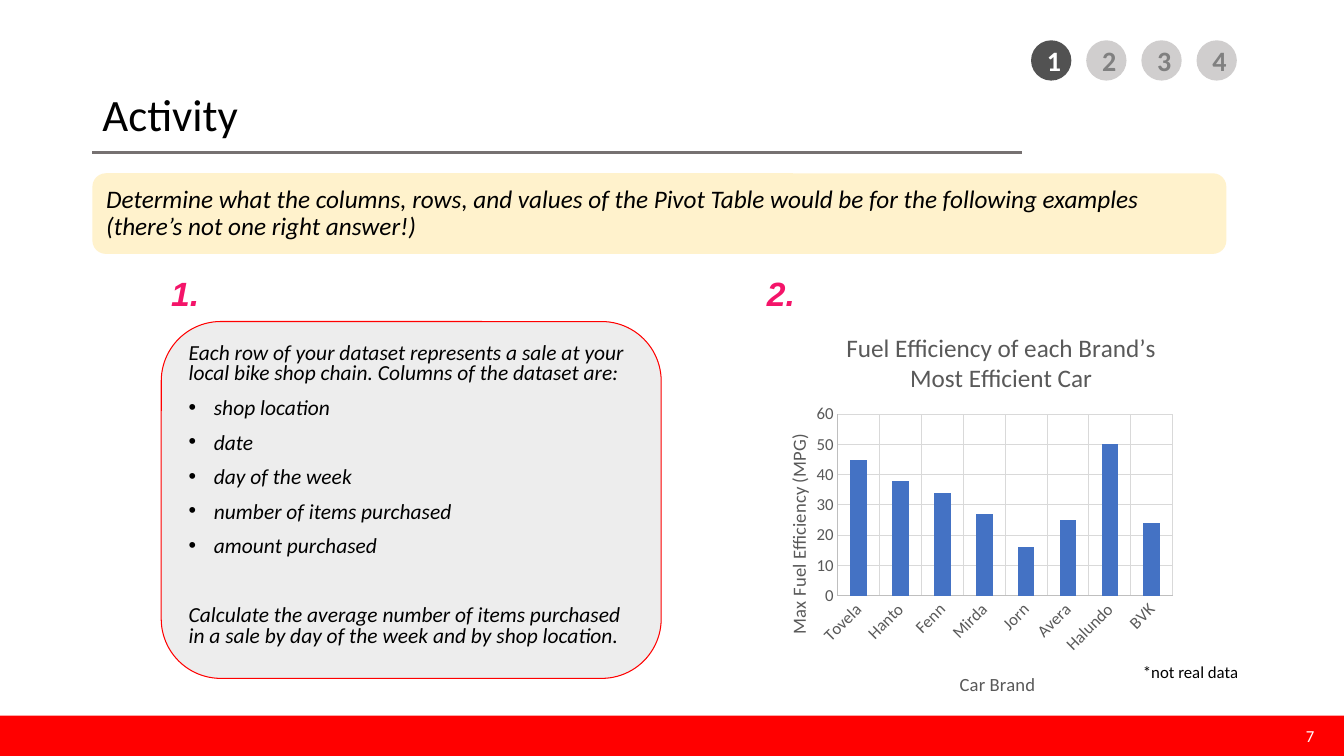
from dataclasses import dataclass

from lxml.etree import SubElement
from pptx import Presentation
from pptx.chart.data import CategoryChartData
from pptx.dml.color import RGBColor
from pptx.enum.chart import XL_CHART_TYPE, XL_TICK_MARK
from pptx.enum.shapes import MSO_CONNECTOR, MSO_SHAPE
from pptx.enum.text import MSO_ANCHOR, MSO_AUTO_SIZE, PP_ALIGN
from pptx.oxml.ns import qn
from pptx.util import Pt

BLACK = RGBColor(0x00, 0x00, 0x00)
WHITE = RGBColor(0xFF, 0xFF, 0xFF)
RED = RGBColor(0xFF, 0x00, 0x00)
PINK = RGBColor(0xF4, 0x14, 0x69)
CREAM = RGBColor(0xFF, 0xF2, 0xCC)
PALE_GRAY = RGBColor(0xED, 0xED, 0xED)
STEP_GRAY = RGBColor(0xD0, 0xCE, 0xCE)
STEP_DARK = RGBColor(0x52, 0x52, 0x52)
STEP_TEXT = RGBColor(0x80, 0x80, 0x80)
RULE_GRAY = RGBColor(0x76, 0x71, 0x71)
CHART_TEXT = RGBColor(0x59, 0x59, 0x59)
AXIS_GRAY = RGBColor(0xBF, 0xBF, 0xBF)
GRID_GRAY = RGBColor(0xD9, 0xD9, 0xD9)
BAR_BLUE = RGBColor(0x44, 0x72, 0xC4)


@dataclass
class Box:
    left: float
    top: float
    width: float
    height: float

    def lengths(self) -> tuple:
        return Pt(self.left), Pt(self.top), Pt(self.width), Pt(self.height)


@dataclass
class Style:
    size: float
    color: RGBColor = BLACK
    font: str = "Calibri"
    bold: bool = False
    italic: bool = False


@dataclass
class Label:
    text: str
    box: Box
    style: Style
    align: PP_ALIGN = PP_ALIGN.LEFT


@dataclass
class ListItem:
    text: str
    bullet: bool = False
    space_before: float = 10


NUMBER_STYLE = Style(24, PINK, "Arial", bold=True, italic=True)
LABELS = [
    Label("7", Box(730, 511.2, 216, 28.8), Style(12, WHITE), PP_ALIGN.RIGHT),
    Label("1.", Box(115.2, 191.5, 53.3, 36), NUMBER_STYLE),
    Label("2.", Box(540.7, 191.5, 53.3, 36), NUMBER_STYLE),
    Label("*not real data", Box(809.3, 469.4, 127.4, 21.6), Style(12)),
]
DATASET_ITEMS = [
    ListItem("Each row of your dataset represents a sale at your local bike shop chain. "
             "Columns of the dataset are:"),
    ListItem("shop location", bullet=True),
    ListItem("date", bullet=True),
    ListItem("day of the week", bullet=True),
    ListItem("number of items purchased", bullet=True),
    ListItem("amount purchased", bullet=True),
    ListItem("Calculate the average number of items purchased in a sale by day of the "
             "week and by shop location.", space_before=34.7),
]
FUEL_EFFICIENCY = {"Tovela": 45, "Hanto": 38, "Fenn": 34, "Mirda": 27,
                   "Jorn": 16, "Avera": 25, "Halundo": 50, "BVK": 24}


def apply_font(font, style: Style) -> None:
    font.name, font.size = style.font, Pt(style.size)
    font.bold, font.italic = style.bold, style.italic
    font.color.rgb = style.color


def add_run(paragraph, text: str, style: Style, align: PP_ALIGN = PP_ALIGN.LEFT) -> None:
    paragraph.alignment = align
    run = paragraph.add_run()
    run.text = text
    apply_font(run.font, style)


def add_filled_shape(slide, kind: MSO_SHAPE, box: Box, fill: RGBColor):
    shape = slide.shapes.add_shape(kind, *box.lengths())
    shape.shadow.inherit = False
    shape.fill.solid()
    shape.fill.fore_color.rgb = fill
    shape.line.fill.background()
    shape.text_frame.vertical_anchor = MSO_ANCHOR.MIDDLE
    return shape


def place(shape, box: Box) -> None:
    shape.left, shape.top, shape.width, shape.height = box.lengths()


def add_label(slide, label: Label) -> None:
    frame = slide.shapes.add_textbox(*label.box.lengths()).text_frame
    frame.word_wrap = True
    if label.align == PP_ALIGN.RIGHT:
        frame.vertical_anchor = MSO_ANCHOR.MIDDLE
    add_run(frame.paragraphs[0], label.text, label.style, label.align)


def fill_dataset_list(body) -> None:
    place(body, Box(115.2, 229.7, 357.1, 254.9))
    geometry = SubElement(body._element.spPr, qn("a:prstGeom"), prst="roundRect")
    SubElement(geometry, qn("a:avLst"))
    body.fill.solid()
    body.fill.fore_color.rgb = PALE_GRAY
    body.line.color.rgb = RED
    body.line.width = Pt(0.75)
    frame = body.text_frame
    frame.auto_size = MSO_AUTO_SIZE.NONE
    frame.vertical_anchor = MSO_ANCHOR.TOP
    for index, item in enumerate(DATASET_ITEMS):
        paragraph = frame.add_paragraph() if index else frame.paragraphs[0]
        paragraph.line_spacing = 0.8
        paragraph.space_before = Pt(item.space_before)
        properties = paragraph._p.get_or_add_pPr()
        indent = Pt(18) if item.bullet else 0
        properties.set("marL", str(indent))
        properties.set("indent", str(-indent))
        if item.bullet:
            SubElement(properties, qn("a:buFont"), typeface="Arial")
            SubElement(properties, qn("a:buChar"), char="•")
        else:
            SubElement(properties, qn("a:buNone"))
        add_run(paragraph, item.text, Style(15.3, italic=True))


def set_layout(parent, **fractions: float) -> None:
    """Fix the place of a chart part, in fractions of the chart frame."""
    layout = parent.find(qn("c:layout"))
    if layout is None:
        layout = parent.makeelement(qn("c:layout"))
        parent.insert(1 if parent.tag == qn("c:title") else 0, layout)
    manual = SubElement(layout, qn("c:manualLayout"))
    if "w" in fractions:
        SubElement(manual, qn("c:layoutTarget"), val="inner")
    for mode in ("xMode", "yMode"):
        SubElement(manual, qn(f"c:{mode}"), val="edge")
    for name, value in fractions.items():
        SubElement(manual, qn(f"c:{name}"), val=str(value))


def set_chart_title(title, text: str, size: float, x: float, y: float) -> None:
    add_run(title.text_frame.paragraphs[0], text, Style(size, CHART_TEXT), PP_ALIGN.CENTER)
    set_layout(title._element, x=x, y=y)


def format_axis(axis) -> None:
    axis.major_tick_mark = axis.minor_tick_mark = XL_TICK_MARK.NONE
    apply_font(axis.tick_labels.font, Style(12, CHART_TEXT))
    axis.has_major_gridlines = True
    for line, color in ((axis.format.line, AXIS_GRAY),
                        (axis.major_gridlines.format.line, GRID_GRAY)):
        line.color.rgb = color
        line.width = Pt(0.75)


def add_fuel_chart(slide) -> None:
    data = CategoryChartData()
    data.categories = list(FUEL_EFFICIENCY)
    data.add_series("Series 1", list(FUEL_EFFICIENCY.values()))
    box = Box(540.7, 221, 303.1, 288)
    chart = slide.shapes.add_chart(XL_CHART_TYPE.COLUMN_CLUSTERED, *box.lengths(), data).chart
    apply_font(chart.font, Style(10))
    chart.has_legend = False
    set_chart_title(chart.chart_title, "Fuel Efficiency of each Brand’s Most Efficient Car",
                    18, 0.2, 0.04)
    brands, mileage = chart.category_axis, chart.value_axis
    for axis in (brands, mileage):
        format_axis(axis)
    mileage.minimum_scale, mileage.maximum_scale, mileage.major_unit = 0, 60, 10
    set_chart_title(brands.axis_title, "Car Brand", 13.3, 0.47, 0.89)
    set_chart_title(mileage.axis_title, "Max Fuel Efficiency (MPG)", 13.3, 0.06, 0.3)
    mileage.axis_title._element.find(".//" + qn("a:bodyPr")).set("rot", "-5400000")
    brands._element.find(qn("c:txPr")).find(qn("a:bodyPr")).set("rot", "-2700000")
    plot = chart.plots[0]
    plot.gap_width, plot.vary_by_categories = 150, False
    bars = plot.series[0].format.fill
    bars.solid()
    bars.fore_color.rgb = BAR_BLUE
    set_layout(chart._chartSpace.chart.plotArea, x=0.19, y=0.26, w=0.79, h=0.45)


def main() -> None:
    presentation = Presentation()
    presentation.slide_width, presentation.slide_height = Pt(960), Pt(540)
    slide = presentation.slides.add_slide(presentation.slide_layouts[1])
    title, body = slide.placeholders

    # Footer band, step markers and title rule
    add_filled_shape(slide, MSO_SHAPE.RECTANGLE, Box(0, 511.2, 960, 28.8), RED)
    for step in range(4):
        fill, color = (STEP_GRAY, STEP_TEXT) if step else (STEP_DARK, WHITE)
        marker = add_filled_shape(slide, MSO_SHAPE.OVAL,
                                  Box(736.5 + 39.4 * step, 28.8, 28.8, 28.8), fill)
        add_run(marker.text_frame.paragraphs[0], str(step + 1),
                Style(20, color, bold=True), PP_ALIGN.CENTER)
    rule = slide.shapes.add_connector(MSO_CONNECTOR.STRAIGHT, Pt(66), Pt(108.7), Pt(730), Pt(108.7))
    rule.line.color.rgb = RULE_GRAY
    rule.line.width = Pt(2.25)
    SubElement(rule._element.spPr, qn("a:effectLst"))

    # Title and instruction banner
    place(title, Box(66, 28.8, 828, 104.4))
    title.text_frame.vertical_anchor = MSO_ANCHOR.MIDDLE
    add_run(title.text_frame.paragraphs[0], "Activity", Style(32))
    banner = add_filled_shape(slide, MSO_SHAPE.ROUNDED_RECTANGLE, Box(66, 123.8, 810, 57.6), CREAM)
    instruction = banner.text_frame.paragraphs[0]
    instruction.line_spacing = 0.9
    add_run(instruction, "Determine what the columns, rows, and values of the Pivot Table would be "
            "for the following examples (there’s not one right answer!)", Style(18, italic=True))

    # The two examples and the small labels
    fill_dataset_list(body)
    add_fuel_chart(slide)
    for label in LABELS:
        add_label(slide, label)
    presentation.save("out.pptx")


if __name__ == "__main__":
    main()
